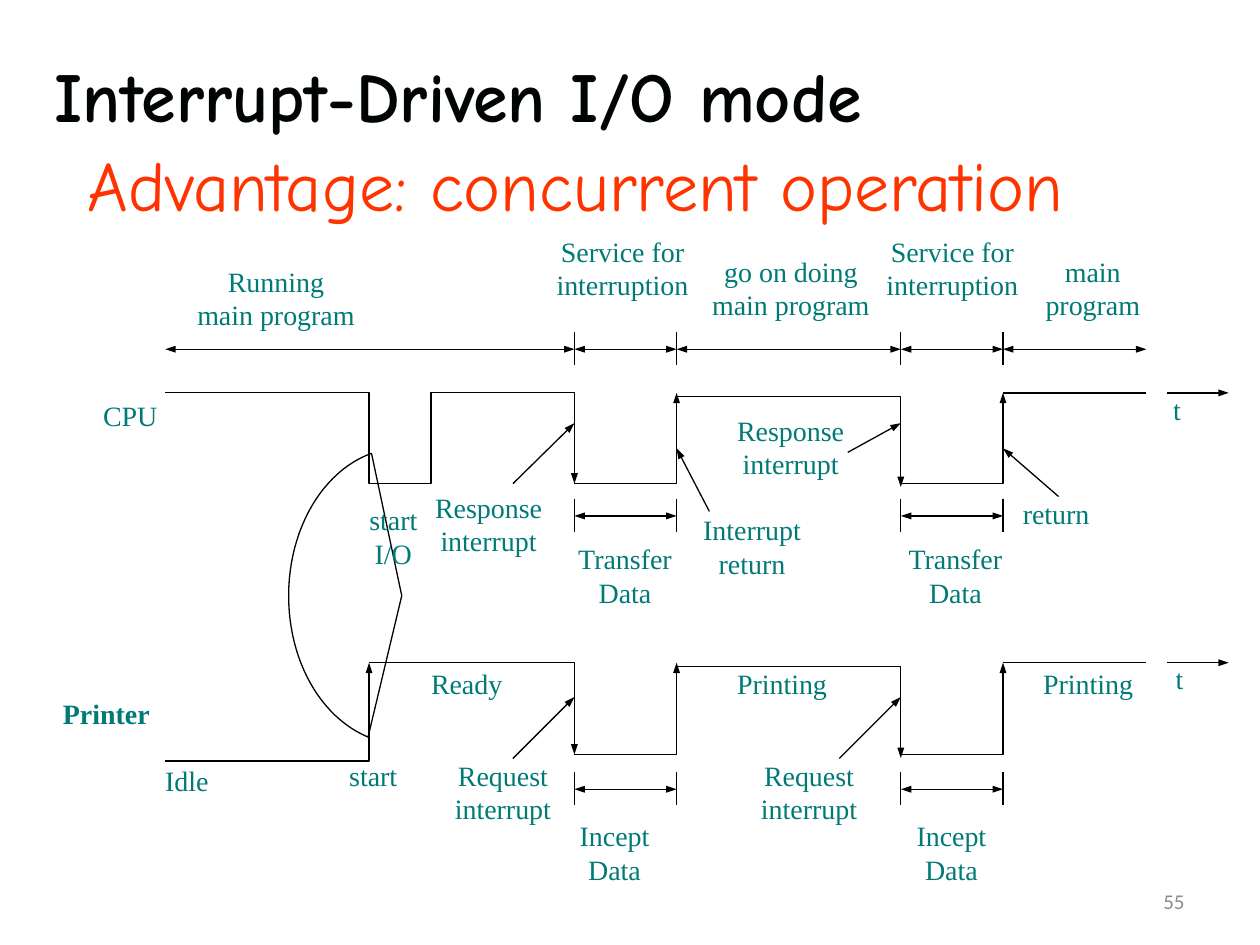
from lxml import etree
from pptx import Presentation
from pptx.dml.color import RGBColor
from pptx.enum.shapes import MSO_CONNECTOR
from pptx.enum.text import MSO_ANCHOR, MSO_AUTO_SIZE, PP_ALIGN
from pptx.oxml.ns import qn
from pptx.util import Cm, Pt

STRAIGHT = MSO_CONNECTOR.STRAIGHT
TOP, MIDDLE = MSO_ANCHOR.TOP, MSO_ANCHOR.MIDDLE
LEFT, CENTER, RIGHT = PP_ALIGN.LEFT, PP_ALIGN.CENTER, PP_ALIGN.RIGHT
NO_AUTOFIT = MSO_AUTO_SIZE.NONE
COLORS = {"title": "000404", "accent": "FF3300", "label": "007A77",
          "line": "000000", "number": "8C8C8C"}
HEADING_FONT, LABEL_FONT, NUMBER_FONT = "Comic Neue", "Times New Roman", "Calibri"

TITLE = "Interrupt-Driven I/O mode"
ADVANTAGE = "Advantage: concurrent operation"
PAGE_NUMBER = "55"

START, IO_START, IO_END, END = 3.33, 7.44, 8.69, 23.11
PULSES = [(11.58, 13.64), (18.16, 20.22)]
(FIRST, FIRST_END), (SECOND, SECOND_END) = PULSES
AXIS = (23.52, 24.77)
CPU_HIGH, CPU_LOW = 7.92, 9.75
PRINTER_HIGH, PRINTER_LOW = 13.36, 15.21
PHASE_ROW, TRANSFER_ROW, INCEPT_ROW = 7.04, 10.4, 15.91
TICK_RISE, TICK_HEIGHT = 0.35, 0.67
HIGH_DROP = 0.07

LABELS = [
    ("t", 23.65, 7.92, 0.8, LEFT), ("t", 23.7, 13.34, 0.8, LEFT),
    ("CPU", 2.08, 8.03, 2.06, LEFT),
    ("Idle", 3.33, 15.39, 2.06, LEFT), ("Ready", 8.69, 13.44, 2.06, LEFT),
    ("start", 7.04, 15.29, 2.06, LEFT),
    ("Printing", 14.86, 13.44, 2.06, LEFT), ("Printing", 21.03, 13.44, 2.06, LEFT),
    ("return", 20.62, 10.01, 1.9, LEFT),
    ("Request\ninterrupt", 8.69, 15.29, 2.9, CENTER),
    ("Request\ninterrupt", 14.86, 15.29, 2.9, CENTER),
    ("Incept Data", 11.28, 16.51, 2.22, CENTER),
    ("Incept Data", 18.11, 16.51, 2.14, CENTER),
    ("start\nI/O", 6.68, 10.13, 2.5, CENTER),
    ("Response\ninterrupt", 8.69, 9.88, 2.32, CENTER),
    ("Response\ninterrupt", 14.78, 8.33, 2.32, CENTER),
    ("Transfer\nData", 11.15, 10.92, 2.9, CENTER),
    ("Transfer\nData", 17.81, 10.92, 2.9, CENTER),
    ("Interrupt return", 14, 10.34, 2.32, CENTER),
    ("Service for interruption", 11.1, 4.72, 2.9, CENTER),
    ("Service for interruption", 17.75, 4.72, 2.9, CENTER),
    ("Running\nmain program", 3.51, 5.33, 4.11, CENTER),
    ("go on doing\nmain program", 13.89, 5.13, 4.11, CENTER),
    ("main program", 20.8, 5.13, 2.46, CENTER),
]
POINTERS = [
    ((17.09, 9.12), (SECOND, 8.53)), ((16.92, 15.29), (SECOND, 14.05)),
    ((10.34, 15.29), (FIRST, 14.05)), ((10.34, 9.75), (FIRST, 8.53)),
    ((14.3, 10.31), (FIRST_END, 9.04)), ((21.34, 10.01), (SECOND_END, 9.04)),
]
START_ARC = [
    [(7.42, 14.86), (6.45, 14.45), (5.82, 13.31), (5.82, 12.01)],
    [(5.82, 12.01), (5.82, 10.67), (6.5, 9.5), (7.49, 9.14)],
]
ARC_CORNER = (8.1, 12.01)
ARC_STEPS = 24


def format_line(shape, head, tail):
    shape.line.color.rgb = RGBColor.from_string(COLORS["line"])
    shape.line.width = Pt(0.75)
    properties = shape.element.spPr
    outline = properties.find(qn("a:ln"))
    for name, wanted in (("a:headEnd", head), ("a:tailEnd", tail)):
        if wanted:
            etree.SubElement(outline, qn(name), type="triangle", w="sm", len="med")
    if properties.find(qn("a:effectLst")) is None:
        etree.SubElement(properties, qn("a:effectLst"))


def add_line(slide, start, end, head=False, tail=False):
    points = [Cm(value) for value in (*start, *end)]
    format_line(slide.shapes.add_connector(STRAIGHT, *points), head, tail)


def add_path(slide, points, head=False, tail=False):
    (left, top), *rest = [(Cm(x), Cm(y)) for x, y in points]
    builder = slide.shapes.build_freeform(left, top)
    builder.add_line_segments(rest, close=False)
    shape = builder.convert_to_shape()
    shape.fill.background()
    shape.shadow.inherit = False
    format_line(shape, head, tail)


def fill_text(frame, text, *, font=LABEL_FONT, size=16, color="label", bold=False,
              align=LEFT, anchor=TOP, wrap=True, margins=None):
    frame.auto_size = NO_AUTOFIT
    frame.word_wrap = wrap
    frame.vertical_anchor = anchor
    if margins is not None:
        frame.margin_left = frame.margin_right = Cm(margins)
        frame.margin_top = frame.margin_bottom = Cm(margins)
    frame.text = text
    for paragraph in frame.paragraphs:
        paragraph.alignment = align
        paragraph.font.name = font
        paragraph.font.size = Pt(size)
        paragraph.font.bold = bold
        paragraph.font.color.rgb = RGBColor.from_string(COLORS[color])


def add_text(slide, text, left, top, width, height, **text_format):
    box = slide.shapes.add_textbox(Cm(left), Cm(top), Cm(width), Cm(height))
    fill_text(box.text_frame, text, **text_format)


def curve_point(controls, t):
    weights = ((1 - t) ** 3, 3 * t * (1 - t) ** 2, 3 * t * t * (1 - t), t ** 3)
    return tuple(sum(weight * point[axis] for weight, point in zip(weights, controls))
                 for axis in (0, 1))


def draw_signals(slide):
    add_path(slide, [(START, CPU_HIGH), (IO_START, CPU_HIGH), (IO_START, CPU_LOW),
                     (IO_END, CPU_LOW), (IO_END, CPU_HIGH), (FIRST, CPU_HIGH),
                     (FIRST, CPU_LOW)], tail=True)
    add_path(slide, [(START, 15.34), (IO_START, 15.34), (IO_START, PRINTER_HIGH)], tail=True)
    add_path(slide, [(IO_START, PRINTER_HIGH), (FIRST, PRINTER_HIGH),
                     (FIRST, PRINTER_LOW)], tail=True)
    for high, low in ((CPU_HIGH, CPU_LOW), (PRINTER_HIGH, PRINTER_LOW)):
        for left, right in PULSES:
            add_path(slide, [(left, low), (right, low), (right, high)], tail=True)
        plateau = high + HIGH_DROP
        add_path(slide, [(FIRST_END, plateau), (SECOND, plateau),
                         (SECOND, low + HIGH_DROP)], tail=True)
        add_line(slide, (SECOND_END, high), (END, high))
        add_line(slide, (AXIS[0], high), (AXIS[1], high), tail=True)


def draw_intervals(slide):
    edges = [edge for pulse in PULSES for edge in pulse]
    boundaries = [START, *edges, END]
    spans = {PHASE_ROW: list(zip(boundaries, boundaries[1:])),
             TRANSFER_ROW: PULSES, INCEPT_ROW: PULSES}
    for row, pairs in spans.items():
        for left, right in pairs:
            add_line(slide, (left, row), (right, row), head=True, tail=True)
        for edge in edges:
            top = row - TICK_RISE
            add_line(slide, (edge, top), (edge, top + TICK_HEIGHT))


def main():
    presentation = Presentation()
    presentation.slide_width, presentation.slide_height = Cm(25.4), Cm(19.05)
    slide = presentation.slides.add_slide(presentation.slide_layouts[5])
    title = slide.shapes.title
    title.left, title.top, title.width, title.height = Cm(0.84), Cm(0.71), Cm(23.72), Cm(2.41)
    fill_text(title.text_frame, TITLE, font=HEADING_FONT, size=40, color="title",
              bold=True, anchor=MIDDLE)
    draw_signals(slide)
    draw_intervals(slide)
    arc = [curve_point(controls, step / ARC_STEPS)
           for controls in START_ARC for step in range(ARC_STEPS + 1)]
    add_path(slide, [*arc, ARC_CORNER, arc[0]], head=True)
    for start, end in POINTERS:
        add_line(slide, start, end, tail=True)
    for text, left, top, width, align in LABELS:
        add_text(slide, text, left, top, width, 1.35, align=align, margins=0)
    add_text(slide, "Printer", 1.27, 14.05, 2.9, 1.35, bold=True, margins=0)
    add_text(slide, ADVANTAGE, 1.52, 2.72, 22.12, 1.96, font=HEADING_FONT, size=40,
             color="accent", wrap=False)
    add_text(slide, PAGE_NUMBER, 18.21, 17.65, 5.92, 1.02, font=NUMBER_FONT, size=12,
             color="number", align=RIGHT, anchor=MIDDLE)
    presentation.save("out.pptx")


if __name__ == "__main__":
    main()
